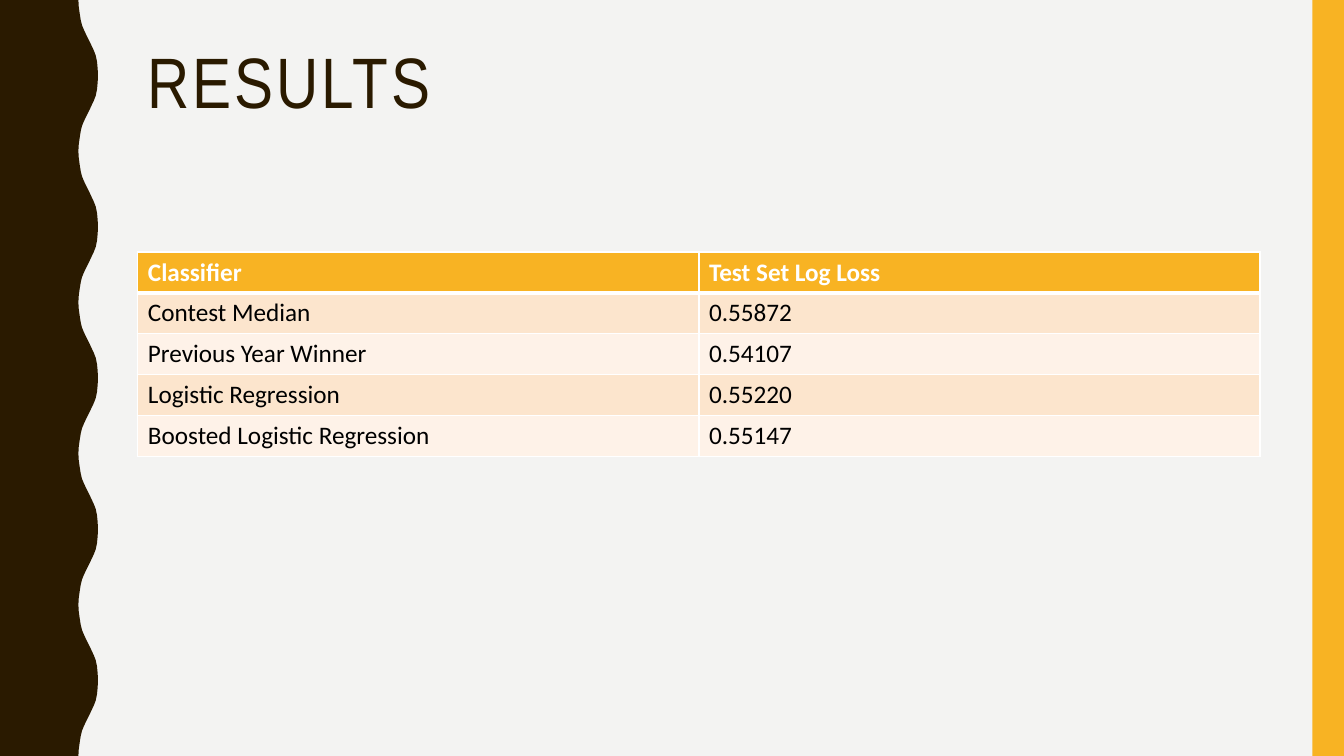
"""Build the Results slide: a wavy side band and a table of classifier scores."""
from typing import NamedTuple

from lxml import etree
from pptx import Presentation
from pptx.dml.color import RGBColor
from pptx.enum.text import MSO_ANCHOR, MSO_AUTO_SIZE, PP_ALIGN
from pptx.enum.shapes import MSO_SHAPE
from pptx.oxml.ns import qn
from pptx.util import Pt

RECTANGLE = MSO_SHAPE.RECTANGLE
LEFT = PP_ALIGN.LEFT
TOP = MSO_ANCHOR.TOP
NO_AUTOFIT = MSO_AUTO_SIZE.NONE

SLIDE_WIDTH, SLIDE_HEIGHT = 960, 540
BROWN, AMBER, WHITE, BLACK = "2A1A00", "F8B323", "FFFFFF", "000000"
BACKGROUND = "F3F3F2"
BAND_FILLS = ("FCE5CD", "FEF2E8")
CONTENT_LEFT, CONTENT_WIDTH = 98.5, 801.5
ROW_HEIGHT = 29.2
STRIPE_WIDTH = 22.5
HALF_WAVE = 54
WAVE_PROFILE = (
    (56, 0), (56.3, 5), (57, 10), (57.7, 14.4), (58.6, 18), (59.8, 21),
    (61.2, 24), (62.7, 27), (64.2, 30), (65.6, 33), (67, 36), (68.4, 39.6),
    (69.3, 44), (69.8, 49), (70, 54),
)


class Score(NamedTuple):
    classifier: str
    log_loss: str


HEADER = Score("Classifier", "Test Set Log Loss")
SCORES = (
    Score("Contest Median", "0.55872"),
    Score("Previous Year Winner", "0.54107"),
    Score("Logistic Regression", "0.55220"),
    Score("Boosted Logistic Regression", "0.55147"),
)


def paint(fill, colour: str) -> None:
    fill.solid()
    fill.fore_color.rgb = RGBColor.from_string(colour)


def finish_panel(panel, colour: str) -> None:
    paint(panel.fill, colour)
    panel.line.fill.background()
    panel.shadow.inherit = False


def style_run(run, font_name: str, size: float, colour: str, bold: bool = False) -> None:
    run.font.name = font_name
    run.font.size = Pt(size)
    run.font.bold = bold
    paint(run.font.fill, colour)


def wave_points() -> list[tuple[float, float]]:
    points = []
    for index in range(SLIDE_HEIGHT // HALF_WAVE):
        start = index * HALF_WAVE
        if index % 2:
            points += [(x, start + HALF_WAVE - y) for x, y in reversed(WAVE_PROFILE)]
        else:
            points += [(x, start + y) for x, y in WAVE_PROFILE]
    return points


def draw_wavy_band(slide) -> None:
    outline = wave_points() + [(0, SLIDE_HEIGHT)]
    builder = slide.shapes.build_freeform(0, 0)
    builder.add_line_segments([(Pt(x), Pt(y)) for x, y in outline], close=True)
    finish_panel(builder.convert_to_shape(), BROWN)


def draw_stripe(slide) -> None:
    stripe = slide.shapes.add_shape(
        RECTANGLE, Pt(SLIDE_WIDTH - STRIPE_WIDTH), 0, Pt(STRIPE_WIDTH), Pt(SLIDE_HEIGHT))
    finish_panel(stripe, AMBER)


def write_title(slide, wording: str) -> None:
    title = slide.shapes.title
    title.left, title.top = Pt(CONTENT_LEFT), Pt(30)
    title.width, title.height = Pt(CONTENT_WIDTH), Pt(117)
    frame = title.text_frame
    frame.text = wording
    frame.word_wrap = True
    frame.auto_size = NO_AUTOFIT
    frame.vertical_anchor = TOP
    paragraph = frame.paragraphs[0]
    paragraph.alignment = LEFT
    paragraph.line_spacing = 0.9
    run = paragraph.runs[0]
    style_run(run, "Arial Narrow", 51, BROWN)
    run.font._element.set("spc", "200")


def border_cell(cell, bottom_width: float) -> None:
    properties = cell._tc.get_or_add_tcPr()
    widths = {"a:lnL": 1, "a:lnR": 1, "a:lnT": 1, "a:lnB": bottom_width}
    for position, (side, width) in enumerate(widths.items()):
        line = etree.Element(qn(side), w=str(Pt(width)))
        solid = etree.SubElement(line, qn("a:solidFill"))
        etree.SubElement(solid, qn("a:srgbClr"), val=WHITE)
        properties.insert(position, line)


def draw_scores(slide) -> None:
    rows = (HEADER, *SCORES)
    columns = len(Score._fields)
    table = slide.shapes.add_table(
        len(rows), columns, Pt(CONTENT_LEFT), Pt(180),
        Pt(CONTENT_WIDTH), Pt(ROW_HEIGHT * len(rows))).table
    for column in table.columns:
        column.width = Pt(CONTENT_WIDTH / columns)
    for row_index, score in enumerate(rows):
        table.rows[row_index].height = Pt(ROW_HEIGHT)
        is_header = row_index == 0
        fill = AMBER if is_header else BAND_FILLS[(row_index - 1) % 2]
        for column_index, wording in enumerate(score):
            cell = table.cell(row_index, column_index)
            cell.text_frame.text = wording
            style_run(cell.text_frame.paragraphs[0].runs[0], "Calibri", 18,
                      WHITE if is_header else BLACK, is_header)
            paint(cell.fill, fill)
            border_cell(cell, 3 if is_header else 1)


def main() -> None:
    deck = Presentation()
    deck.slide_width, deck.slide_height = Pt(SLIDE_WIDTH), Pt(SLIDE_HEIGHT)
    slide = deck.slides.add_slide(deck.slide_layouts.get_by_name("Title Only"))
    paint(slide.background.fill, BACKGROUND)
    draw_wavy_band(slide)
    draw_stripe(slide)
    write_title(slide, "RESULTS")
    draw_scores(slide)
    deck.save("out.pptx")


if __name__ == "__main__":
    main()
